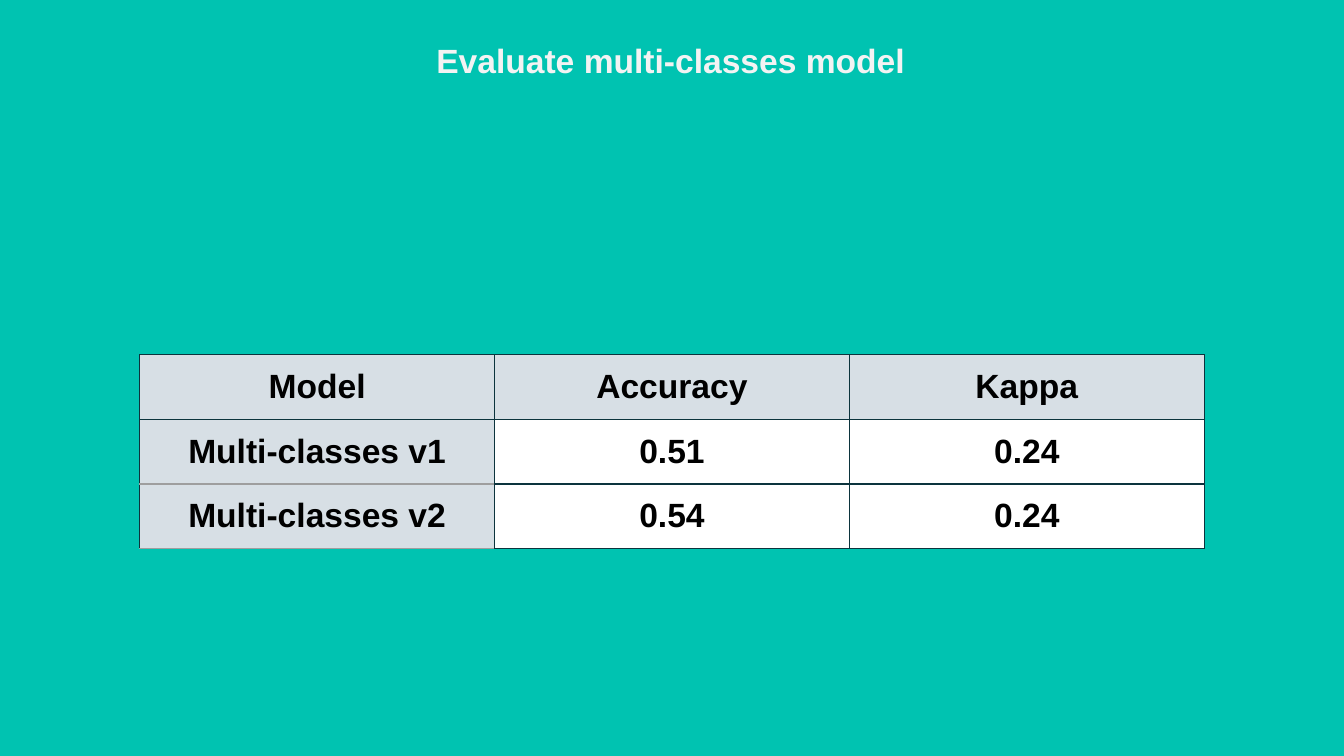
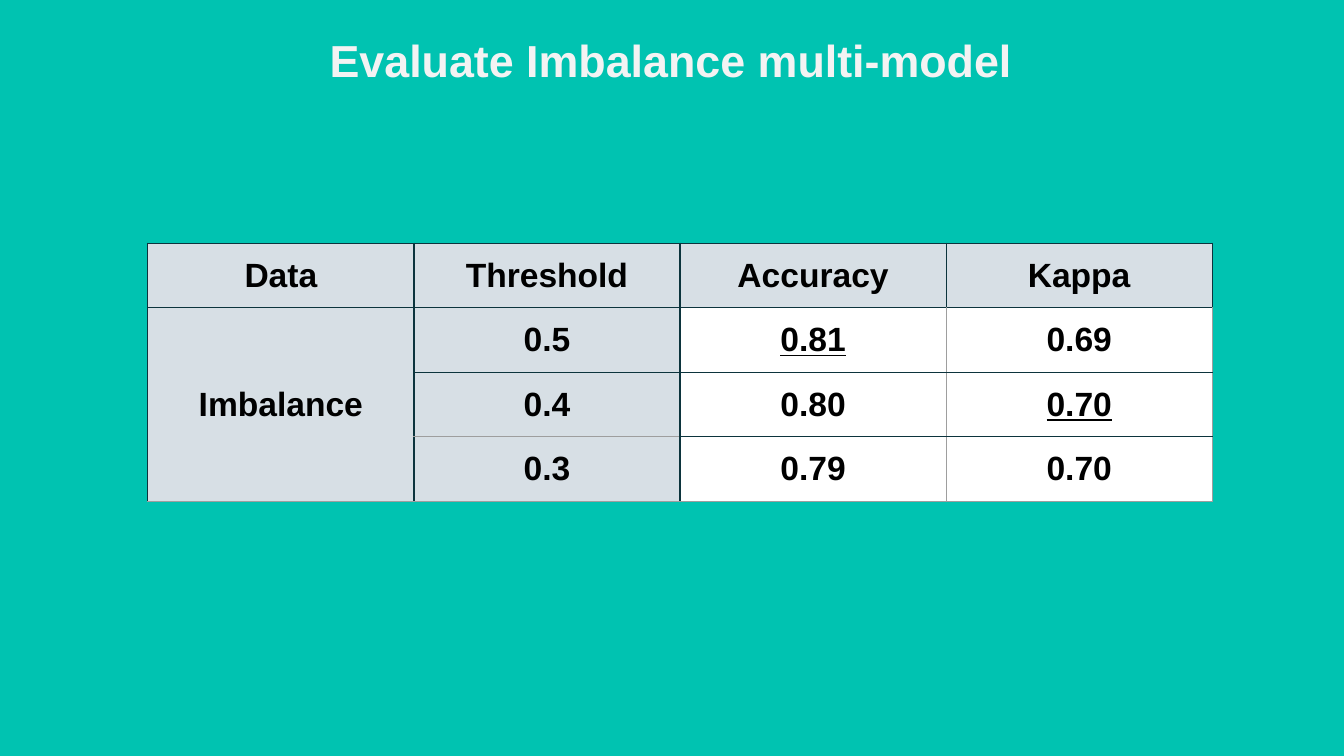
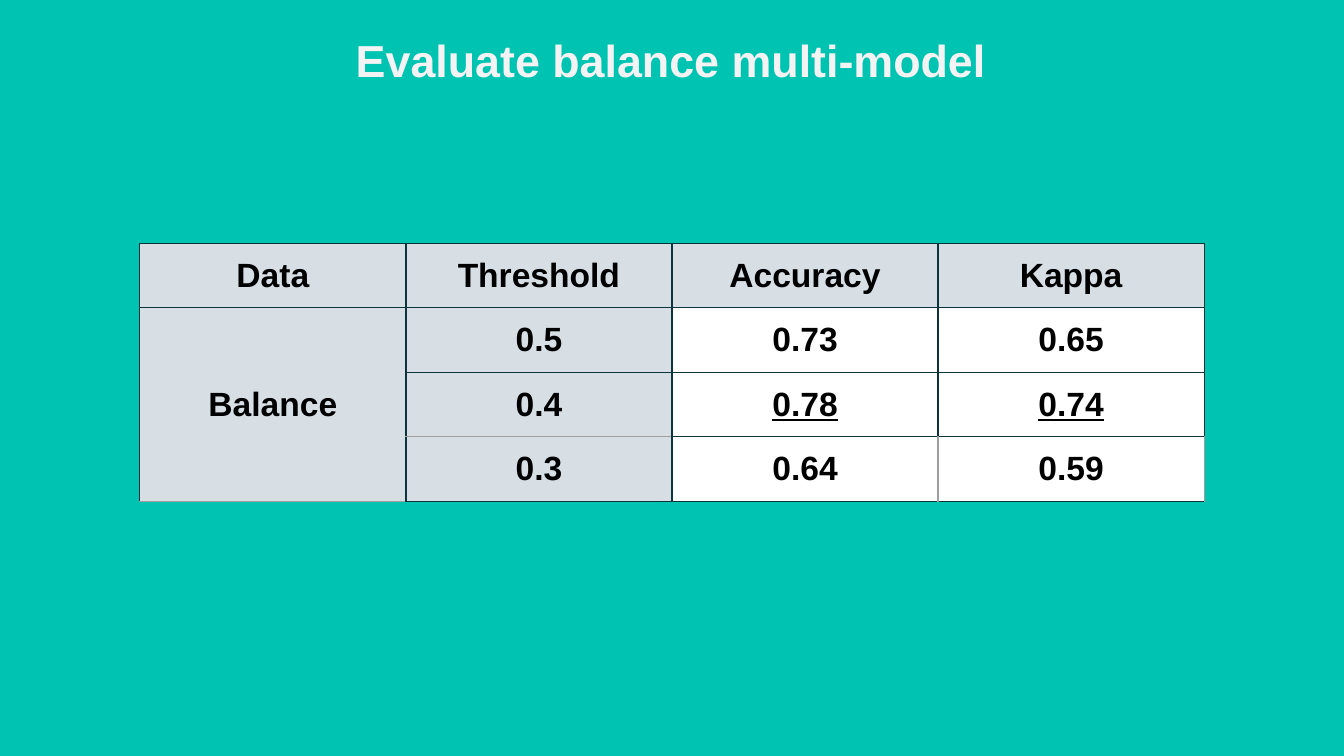
from dataclasses import dataclass

from pptx import Presentation
from pptx.dml.color import RGBColor
from pptx.enum import text
from pptx.oxml.ns import qn
from pptx.util import Inches, Pt
from lxml import etree


@dataclass(frozen=True)
class Theme:
    font: str = "Arial"
    background: str = "00C3B1"
    title: str = "F3F3F3"
    body: str = "000000"
    label_fill: str = "D7DFE5"
    value_fill: str = "FFFFFF"
    border: str = "0C343D"
    muted_border: str = "9E9E9E"
    border_width: float = 0.75
    title_size: int = 24
    small_title_size: int = 18
    table_size: int = 18


THEME = Theme()
SLIDE_WIDTH = 10
SLIDE_HEIGHT = SLIDE_WIDTH * 9 / 16
TITLE_BOX = (0.99, 0.07, 8, 0.75)
TABLE_WIDTH = 7.92
ROW_PITCH = 0.5
CELL_MARGIN = 0.1
EDGES = {"l": "a:lnL", "r": "a:lnR", "t": "a:lnT", "b": "a:lnB"}


def add_run(paragraph, words, size, color, underline=None):
    paragraph.alignment = text.PP_ALIGN.CENTER
    run = paragraph.add_run()
    run.text = words
    font = run.font
    font.name, font.size, font.bold = THEME.font, Pt(size), True
    font.color.rgb = RGBColor.from_string(color)
    font.underline = underline


def add_title(slide, words, size, box=TITLE_BOX):
    title = slide.shapes.title
    title.left, title.top, title.width, title.height = map(Inches, box)
    frame = title.text_frame
    frame.margin_left = frame.margin_right = frame.margin_top = frame.margin_bottom = 0
    frame.vertical_anchor = text.MSO_ANCHOR.MIDDLE
    frame.auto_size = text.MSO_AUTO_SIZE.NONE
    frame.word_wrap = True
    add_run(frame.paragraphs[0], words, size, THEME.title)


def draw_borders(cell, muted):
    """Draw all four edges; those named in muted are grey."""
    properties = cell._tc.get_or_add_tcPr()
    for edge, tag in EDGES.items():
        line = etree.SubElement(properties, qn(tag), w=str(Pt(THEME.border_width)))
        fill = etree.SubElement(line, qn("a:solidFill"))
        color = THEME.muted_border if edge in muted else THEME.border
        etree.SubElement(fill, qn("a:srgbClr"), val=color)


def format_cell(cell, words, is_label, underline, muted):
    cell.margin_left = cell.margin_right = Inches(CELL_MARGIN)
    cell.margin_top = cell.margin_bottom = Inches(CELL_MARGIN)
    cell.vertical_anchor = text.MSO_ANCHOR.MIDDLE
    draw_borders(cell, muted)
    cell.fill.solid()
    cell.fill.fore_color.rgb = RGBColor.from_string(
        THEME.label_fill if is_label else THEME.value_fill)
    if words:
        add_run(cell.text_frame.paragraphs[0], words, THEME.table_size,
                THEME.body, underline)


def add_score_table(slide, left, top, rows, heights, label_columns, best, muted):
    height = Inches(ROW_PITCH * len(rows))
    graphic_frame = slide.shapes.add_table(
        len(rows), len(rows[0]), Inches(left), Inches(top), Inches(TABLE_WIDTH), height)
    table = graphic_frame.table
    table.first_row = table.horz_banding = False
    for row, row_height in zip(table.rows, heights):
        row.height = Inches(row_height)
    graphic_frame.height = height

    for row_index, row in enumerate(rows):
        for column_index, words in enumerate(row):
            place = (row_index, column_index)
            is_label = row_index == 0 or column_index < label_columns
            format_cell(table.cell(*place), words, is_label,
                        True if place in best else None, muted.get(place, ""))

    # The data name spans every threshold
    if label_columns > 1:
        table.cell(1, 0).merge(table.cell(len(rows) - 1, 0))


def add_evaluation_slide(presentation, title, title_size, **table):
    slide = presentation.slides.add_slide(presentation.slide_layouts.get_by_name("Title Only"))
    add_title(slide, title, title_size)
    add_score_table(slide, **table)


def main():
    presentation = Presentation()
    presentation.slide_width = Inches(SLIDE_WIDTH)
    presentation.slide_height = Inches(SLIDE_HEIGHT)
    background = presentation.slide_master.background.fill
    background.solid()
    background.fore_color.rgb = RGBColor.from_string(THEME.background)

    # Multi-class models
    add_evaluation_slide(
        presentation, "Evaluate multi-classes model", THEME.small_title_size,
        left=1.04, top=2.64, heights=(0.42, 0.42, 0.42), label_columns=1, best=(),
        rows=[("Model", "Accuracy", "Kappa"),
              ("Multi-classes v1", "0.51", "0.24"),
              ("Multi-classes v2", "0.54", "0.24")],
        muted={(1, 0): "b", (2, 0): "tb"})

    # Thresholds on imbalanced and balanced data
    threshold_header = ("Data", "Threshold", "Accuracy", "Kappa")
    threshold_muted = {(1, 0): "b", (2, 0): "tb", (3, 0): "tb", (2, 1): "b"}
    add_evaluation_slide(
        presentation, "Evaluate Imbalance multi-model", THEME.title_size,
        left=1.1, top=1.81, heights=(0.42, 0.37, 0.37, 0.37), label_columns=2,
        best={(1, 2), (2, 3)},
        rows=[threshold_header,
              ("Imbalance", "0.5", "0.81", "0.69"),
              ("", "0.4", "0.80", "0.70"),
              ("", "0.3", "0.79", "0.70")],
        muted={**threshold_muted, (1, 2): "r", (1, 3): "lr", (2, 2): "r", (2, 3): "lr",
               (3, 1): "tb", (3, 2): "rb", (3, 3): "lrb"})
    add_evaluation_slide(
        presentation, "Evaluate balance multi-model", THEME.title_size,
        left=1.04, top=1.81, heights=(0.42, 0.42, 0.42, 0.37), label_columns=2,
        best={(2, 2), (2, 3)},
        rows=[threshold_header,
              ("Balance", "0.5", "0.73", "0.65"),
              ("", "0.4", "0.78", "0.74"),
              ("", "0.3", "0.64", "0.59")],
        muted={**threshold_muted, (3, 1): "t", (3, 2): "r", (3, 3): "lr"})

    presentation.save("out.pptx")


if __name__ == "__main__":
    main()
